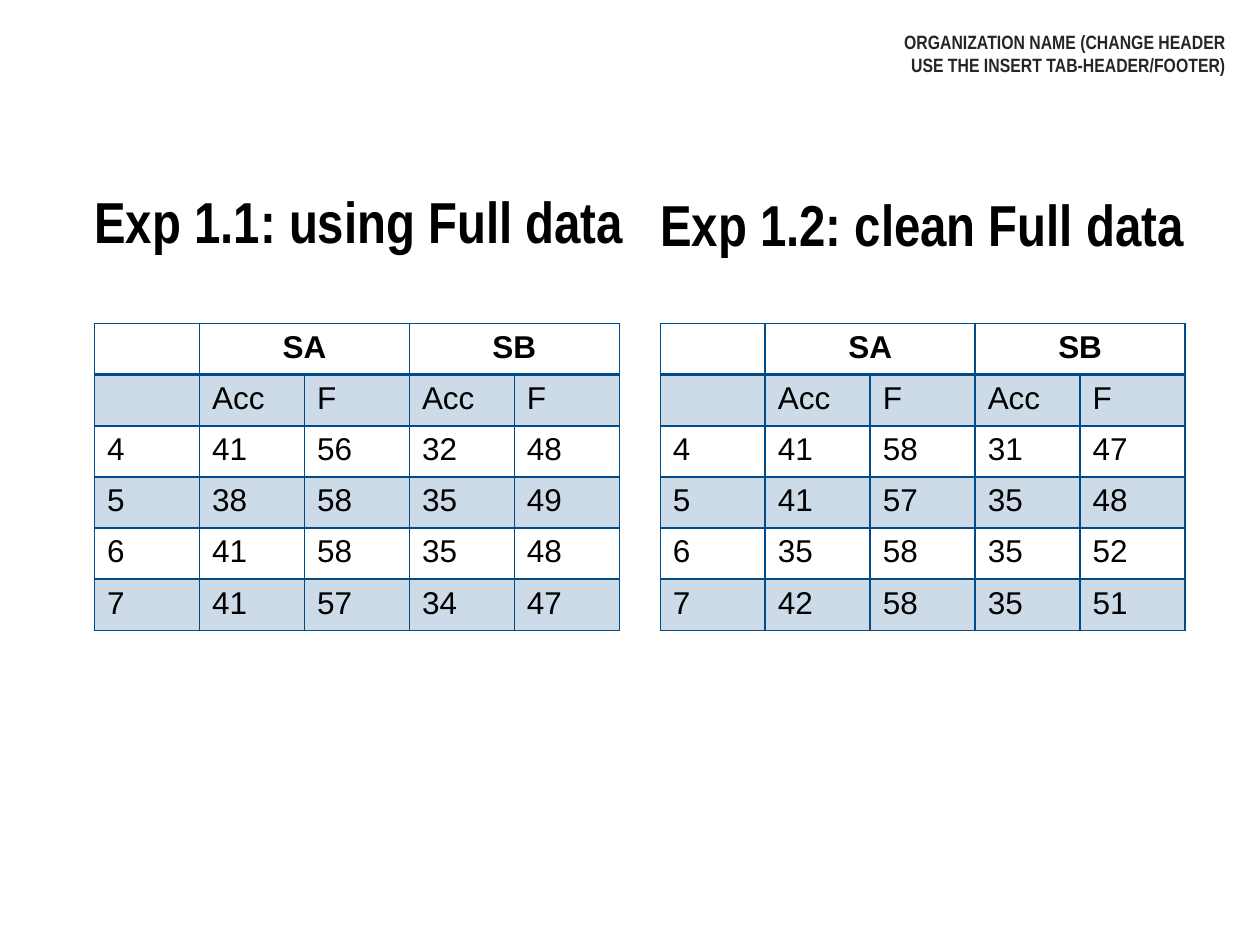
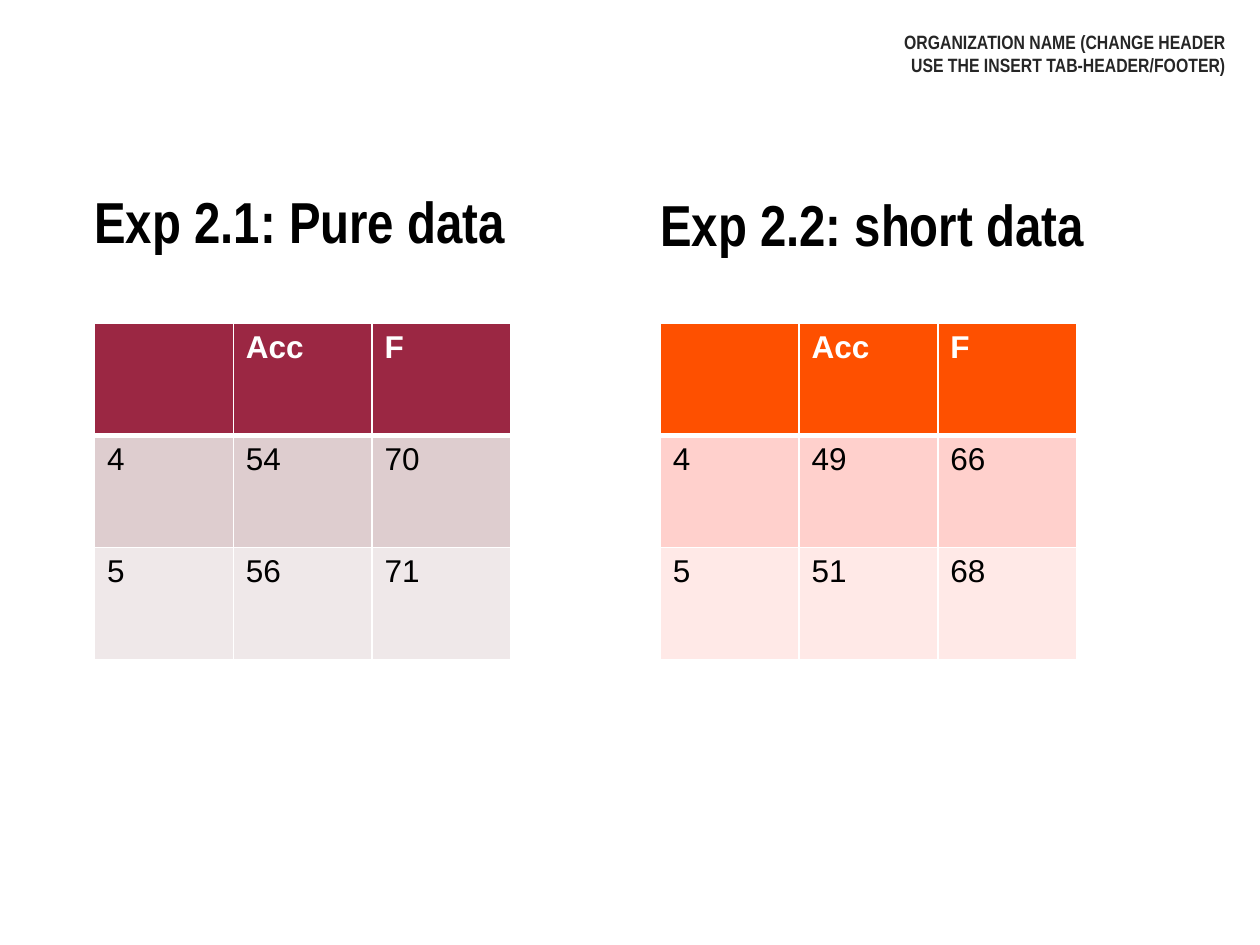
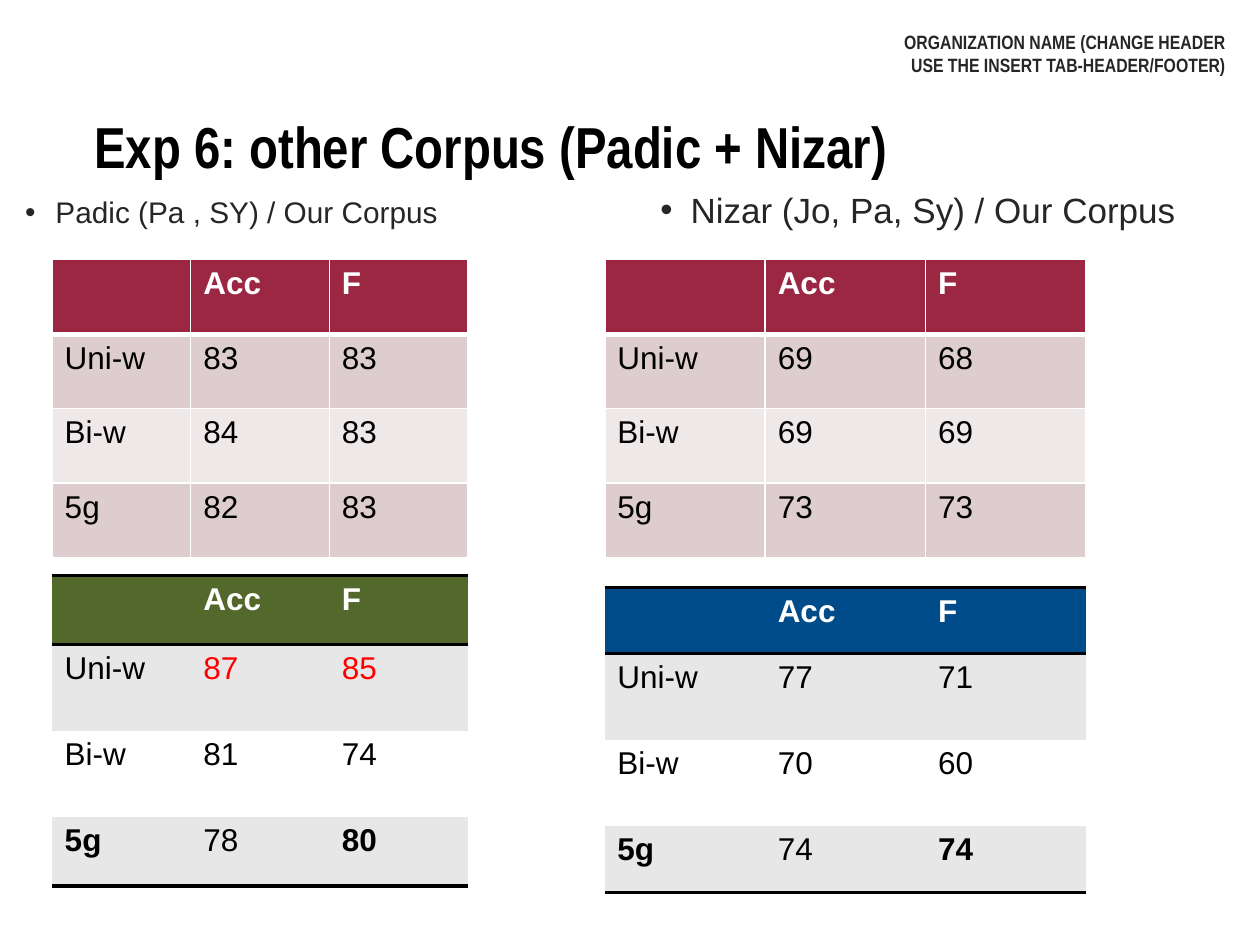
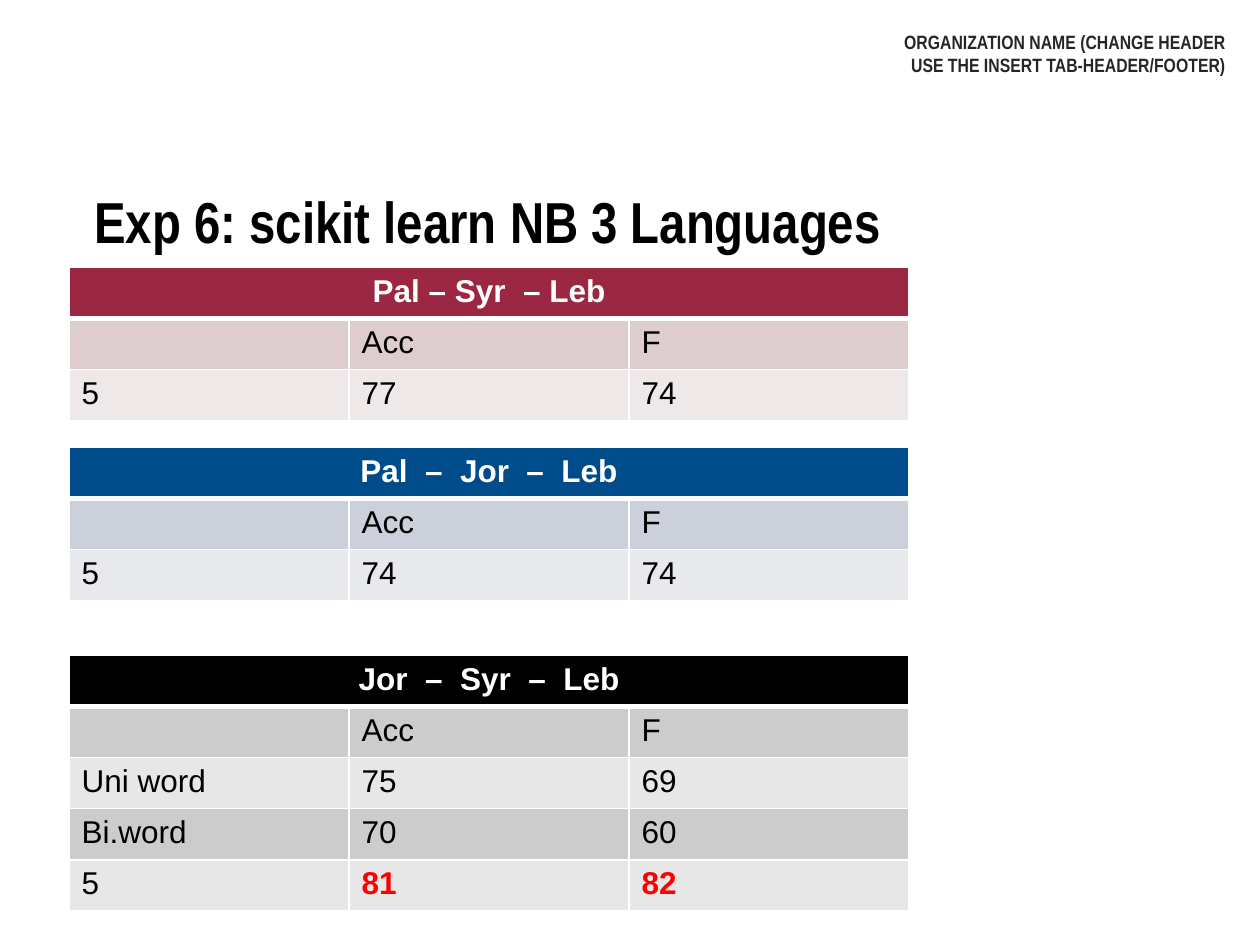
from dataclasses import dataclass
from typing import Optional

from pptx import Presentation
from pptx.dml.color import RGBColor
from pptx.enum.text import PP_ALIGN
from pptx.oxml.ns import qn
from pptx.util import Pt
from lxml import etree

LEFT, MID, RIGHT = PP_ALIGN.LEFT, PP_ALIGN.CENTER, PP_ALIGN.RIGHT


@dataclass(frozen=True)
class Theme:
    black: str = "000000"
    white: str = "FFFFFF"
    gray: str = "262626"
    red: str = "FF0000"
    blue: str = "004B89"
    wine: str = "9B2743"
    orange: str = "FE5000"
    green: str = "53682B"
    body: str = "Arial"
    narrow: str = "Arial Narrow"
    title: float = 33
    cell: float = 18
    note: float = 11


T = Theme()


@dataclass(frozen=True)
class Look:
    head: Optional[str]
    odd: Optional[str]
    even: Optional[str]
    line: str
    thick: float
    ink: str = T.white
    alpha: int = 100
    inner: float = 1


@dataclass(frozen=True)
class Grid:
    left: float
    top: float
    width: float
    heights: tuple
    look: Look
    rows: tuple
    hot: tuple = ()
    bold: tuple = ()


@dataclass(frozen=True)
class Label:
    text: str
    left: float
    top: float
    width: float
    height: float = 62.6
    size: float = T.title
    font: str = T.narrow
    color: str = T.black
    bold: bool = True
    align: PP_ALIGN = LEFT
    space: Optional[float] = 0.9
    bullet: bool = False


@dataclass(frozen=True)
class Page:
    labels: tuple
    grids: tuple


LINED = Look(None, T.blue, None, T.blue, 2, ink=T.black, alpha=20)
WINE = Look(T.wine, "DECDCF", "EFE8E9", T.white, 3)
ORANGE = Look(T.orange, "FFD0CC", "FFE9E7", T.white, 3)
BLUE = Look(T.blue, "CCD0DA", "E7E9ED", T.white, 3)
BLACK = Look(T.black, "CCCCCC", "E7E7E7", T.white, 3)
GREEN_RULE = Look(T.green, "E7E7E7", T.white, T.black, 2, inner=0)
BLUE_RULE = Look(T.blue, "E7E7E7", T.white, T.black, 2, inner=0)

EDGE, HALF = 54, 377.3
TITLE_TOP, TABLE_TOP = 110.9, 185
PAIR = ("", "Acc", "F")
FULL = (("", "SA", None, "SB", None), ("", "Acc", "F", "Acc", "F"))
HEADER = Label(
    "ORGANIZATION NAME (CHANGE HEADER USE THE INSERT TAB-HEADER/FOOTER)",
    501.8, 17.3, 198.7, 36, T.note, color=T.gray, align=RIGHT, space=None,
)


def title(text: str, top: float = TITLE_TOP) -> Label:
    return Label(text, EDGE, top, 623.5)


def second(text: str) -> Label:
    return Label(text, HALF, 112.3, 312.5)


def point(text: str, left: float, top: float, width: float, size: float,
          space: Optional[float]) -> Label:
    return Label(text, left, top, width, 40, size, T.body, T.gray, False,
                 space=space, bullet=True)


def full(left: float, *rows: tuple) -> Grid:
    return Grid(left, TABLE_TOP, 300, (29.2,) * 6, LINED, FULL + rows)


def short(left: float, look: Look, *rows: tuple) -> Grid:
    return Grid(left, TABLE_TOP, 238, (64,) * 3, look, (PAIR,) + rows)


def wide(top: float, look: Look, name: str, *rows: tuple, **marks) -> Grid:
    table = ((name, None, None), PAIR) + rows
    return Grid(39.5, top, 480, (29.2,) * len(table), look, table, **marks)


PAGES = (
    Page(
        (title("Exp 1.1: using Full data"), second("Exp 1.2: clean Full data")),
        (
            full(EDGE, ("4", "41", "56", "32", "48"), ("5", "38", "58", "35", "49"),
                 ("6", "41", "58", "35", "48"), ("7", "41", "57", "34", "47")),
            full(HALF, ("4", "41", "58", "31", "47"), ("5", "41", "57", "35", "48"),
                 ("6", "35", "58", "35", "52"), ("7", "42", "58", "35", "51")),
        ),
    ),
    Page(
        (title("Exp 2.1: Pure data"), second("Exp 2.2: short data")),
        (
            short(EDGE, WINE, ("4", "54", "70"), ("5", "56", "71")),
            short(HALF, ORANGE, ("4", "49", "66"), ("5", "51", "68")),
        ),
    ),
    Page(
        (
            title("Exp 6: other Corpus (Padic + Nizar)", 67.7),
            point("Padic (Pa , SY) / Our Corpus", 14.4, 110.9, 253.4, 17, None),
            point("Nizar (Jo, Pa, Sy) / Our Corpus", HALF, 105.1, 300, 20, 1.1),
        ),
        (
            Grid(29.8, 148.4, 237.6, (42.6,) * 4, WINE,
                 (PAIR, ("Uni-w", "83", "83"), ("Bi-w", "84", "83"), ("5g", "82", "83"))),
            Grid(345.6, 148.4, 275, (42.6,) * 4, WINE,
                 (PAIR, ("Uni-w", "69", "68"), ("Bi-w", "69", "69"), ("5g", "73", "73"))),
            Grid(29.8, 328.8, 237.6, (39.4, 49.4, 49.4, 39.4), GREEN_RULE,
                 (PAIR, ("Uni-w", "87", "85"), ("Bi-w", "81", "74"), ("5g", "78", "80")),
                 hot=((1, 1), (1, 2)), bold=((3, 0), (3, 2))),
            Grid(345.6, 335.5, 275, (37.8, 49.4, 49.4, 37.8), BLUE_RULE,
                 (PAIR, ("Uni-w", "77", "71"), ("Bi-w", "70", "60"), ("5g", "74", "74")),
                 bold=((3, 0), (3, 2))),
        ),
    ),
    Page(
        (title("Exp 6: scikit learn NB 3 Languages"),),
        (
            wide(152.8, WINE, "Pal – Syr  – Leb", ("5", "77", "74")),
            wide(255.7, BLUE, "Pal  –  Jor  –  Leb", ("5", "74", "74")),
            wide(374.5, BLACK, "Jor  –  Syr  –  Leb", ("Uni word", "75", "69"),
                 ("Bi.word", "70", "60"), ("5", "81", "82"),
                 hot=((4, 1), (4, 2)), bold=((4, 1), (4, 2))),
        ),
    ),
)


def write(frame, text: str, *, size: float, font: str, color: str, bold: bool = False,
          align: PP_ALIGN = LEFT, space: Optional[float] = None,
          bullet: bool = False) -> None:
    para = frame.paragraphs[0]
    if bullet:
        props = para._p.get_or_add_pPr()
        props.set("marL", str(Pt(17.3)))
        props.set("indent", str(-Pt(17.3)))
        etree.SubElement(props, qn("a:buFont")).set("typeface", font)
        etree.SubElement(props, qn("a:buChar")).set("char", "•")
    para.alignment = align
    if space:
        para.line_spacing = space
    run = para.add_run()
    run.text = text
    run.font.size = Pt(size)
    run.font.name = font
    run.font.bold = bold
    run.font.color.rgb = RGBColor.from_string(color)


def place(slide, label: Label) -> None:
    box = slide.shapes.add_textbox(
        Pt(label.left), Pt(label.top), Pt(label.width), Pt(label.height))
    frame = box.text_frame
    frame.word_wrap = True
    frame.margin_left = frame.margin_right = frame.margin_top = frame.margin_bottom = 0
    write(frame, label.text, size=label.size, font=label.font, color=label.color,
          bold=label.bold, align=label.align, space=label.space, bullet=label.bullet)


def border(cell, side: str, color: str, width: float) -> None:
    line = etree.SubElement(cell._tc.get_or_add_tcPr(), qn(f"a:ln{side}"))
    line.set("w", str(Pt(width)))
    if width:
        fill = etree.SubElement(line, qn("a:solidFill"))
        etree.SubElement(fill, qn("a:srgbClr")).set("val", color)
    else:
        etree.SubElement(line, qn("a:noFill"))


def paint(cell, color: Optional[str], alpha: int) -> None:
    if color is None:
        cell.fill.background()
        return
    cell.fill.solid()
    cell.fill.fore_color.rgb = RGBColor.from_string(color)
    if alpha < 100:
        tone = cell._tc.tcPr.find(qn("a:solidFill"))[0]
        etree.SubElement(tone, qn("a:alpha")).set("val", str(alpha * 1000))


def style(cell, look: Look, row: int, last: int) -> None:
    ruled = look.inner == 0
    top = look.thick if row == 1 or (ruled and row == 0) else look.inner
    base = look.thick if row == 0 or (ruled and row == last) else look.inner
    for side, width in (("L", look.inner), ("R", look.inner), ("T", top), ("B", base)):
        border(cell, side, look.line, width)
    color = look.head if row == 0 else look.odd if row % 2 else look.even
    paint(cell, color, look.alpha)


def draw(slide, grid: Grid) -> None:
    count, cols = len(grid.rows), len(grid.rows[0])
    table = slide.shapes.add_table(
        count, cols, Pt(grid.left), Pt(grid.top), Pt(grid.width),
        Pt(sum(grid.heights))).table
    table.first_row = table.horz_banding = False
    for col in table.columns:
        col.width = Pt(grid.width / cols)
    for r, (height, row) in enumerate(zip(grid.heights, grid.rows)):
        table.rows[r].height = Pt(height)
        for c, text in enumerate(row):
            cell = table.cell(r, c)
            style(cell, grid.look, r, count - 1)
            if not text:
                continue
            span = 1
            while c + span < cols and row[c + span] is None:
                span += 1
            if span > 1:
                cell.merge(table.cell(r, c + span - 1))
            ink = grid.look.ink if r == 0 else T.red if (r, c) in grid.hot else T.black
            write(cell.text_frame, text, size=T.cell, font=T.body, color=ink,
                  bold=r == 0 or (r, c) in grid.bold, align=MID if span > 1 else LEFT)


def main() -> None:
    deck = Presentation()
    deck.slide_width, deck.slide_height = Pt(720), Pt(540)
    for page in PAGES:
        slide = deck.slides.add_slide(deck.slide_layouts[6])
        for label in page.labels + (HEADER,):
            place(slide, label)
        for grid in page.grids:
            draw(slide, grid)
    deck.save("out.pptx")


if __name__ == "__main__":
    main()
